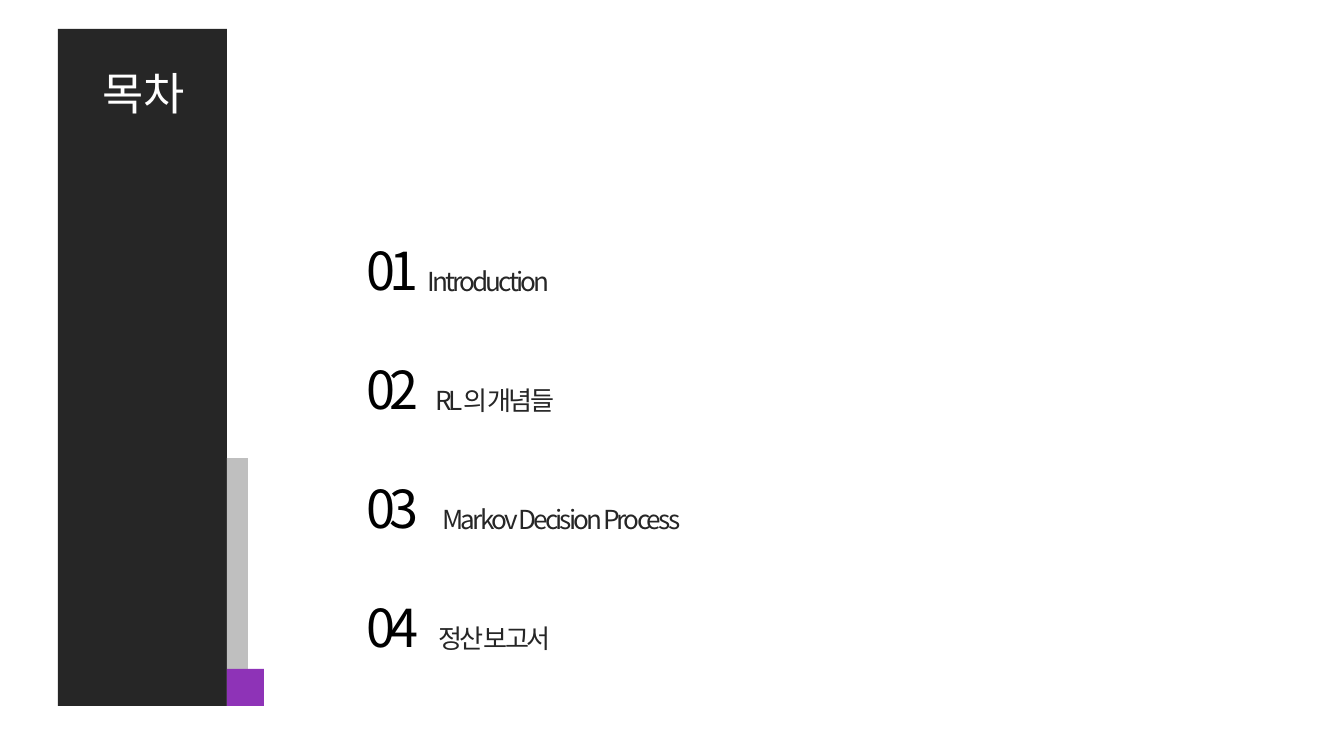
from dataclasses import dataclass

from lxml.etree import SubElement
from pptx import Presentation
from pptx.dml.color import RGBColor
from pptx.enum.shapes import MSO_SHAPE
from pptx.enum.text import MSO_ANCHOR, MSO_AUTO_SIZE, PP_ALIGN
from pptx.oxml.ns import qn
from pptx.util import Inches, Pt

PIXELS_PER_INCH = 134.4


@dataclass(frozen=True)
class Theme:
    font: str = "Noto Sans CJK KR"
    dark: str = "262626"
    grey: str = "BFBFBF"
    accent: str = "8E33B7"
    black: str = "000000"
    white: str = "FFFFFF"
    title_size: int = 24
    number_size: int = 28
    label_size: int = 14
    line_spacing: float = 0.88


def px(length):
    return Inches(length / PIXELS_PER_INCH)


class SlideBuilder:
    def __init__(self, slide, theme):
        self.slide = slide
        self.theme = theme

    def block(self, left, top, width, height, color):
        box = self.slide.shapes.add_shape(
            MSO_SHAPE.RECTANGLE, px(left), px(top), px(width), px(height))
        box.shadow.inherit = False
        box.fill.solid()
        box.fill.fore_color.rgb = RGBColor.from_string(color)
        box.line.fill.background()

    def add_text(self, frame, text, size, color, tracking=0, align=PP_ALIGN.LEFT):
        """Fill a text frame with one run; tracking is in points."""
        frame.word_wrap = True
        frame.vertical_anchor = MSO_ANCHOR.TOP
        para = frame.paragraphs[0]
        para.alignment = align
        para.line_spacing = self.theme.line_spacing
        span = para.add_run()
        span.text = text
        span.font.size = Pt(size)
        span.font.color.rgb = RGBColor.from_string(color)
        span.font.name = self.theme.font
        properties = span.font._element
        SubElement(properties, qn("a:ea"), typeface=self.theme.font)
        if tracking:
            properties.set("spc", str(round(tracking * 100)))

    def title(self, text, left, top, width, height):
        box = self.slide.shapes.title
        box.left, box.top, box.width, box.height = map(px, (left, top, width, height))
        box.text_frame.auto_size = MSO_AUTO_SIZE.NONE
        self.add_text(box.text_frame, text, self.theme.title_size,
                      self.theme.white, align=PP_ALIGN.CENTER)
        # Bring the placeholder in front of the sidebar.
        self.slide.shapes._spTree.append(box._element)

    def entry(self, number, label, top, label_left, label_width):
        """Group a large number with its smaller, lower label."""
        theme = self.theme
        group = self.slide.shapes.add_group_shape()
        number_box = group.shapes.add_textbox(px(353), px(top), px(148), px(77))
        self.add_text(number_box.text_frame, number, theme.number_size, theme.black, -3)
        label_box = group.shapes.add_textbox(
            px(label_left), px(top + 23), px(label_width), px(77))
        self.add_text(label_box.text_frame, label, theme.label_size, theme.dark, -1.5)


def main():
    deck = Presentation()
    deck.slide_width, deck.slide_height = px(1344), px(756)
    theme = Theme()
    page = SlideBuilder(deck.slides.add_slide(deck.slide_layouts[5]), theme)

    page.block(58, 29, 169, 677, theme.dark)
    contents = [
        ("Introduction", 414, 202),
        ("RL의 개념들", 422, 202),
        ("Markov Decision Process", 429, 328),
        ("정산 보고서", 425, 202),
    ]
    for index, (label, left, width) in enumerate(contents):
        page.entry(f"{index + 1:02}", label, 240 + 119 * index, left, width)
    page.block(227, 458, 21, 248, theme.grey)
    page.title("목차", 38, 66, 211, 67)
    page.block(227, 669, 37, 37, theme.accent)

    deck.save("out.pptx")


if __name__ == "__main__":
    main()
